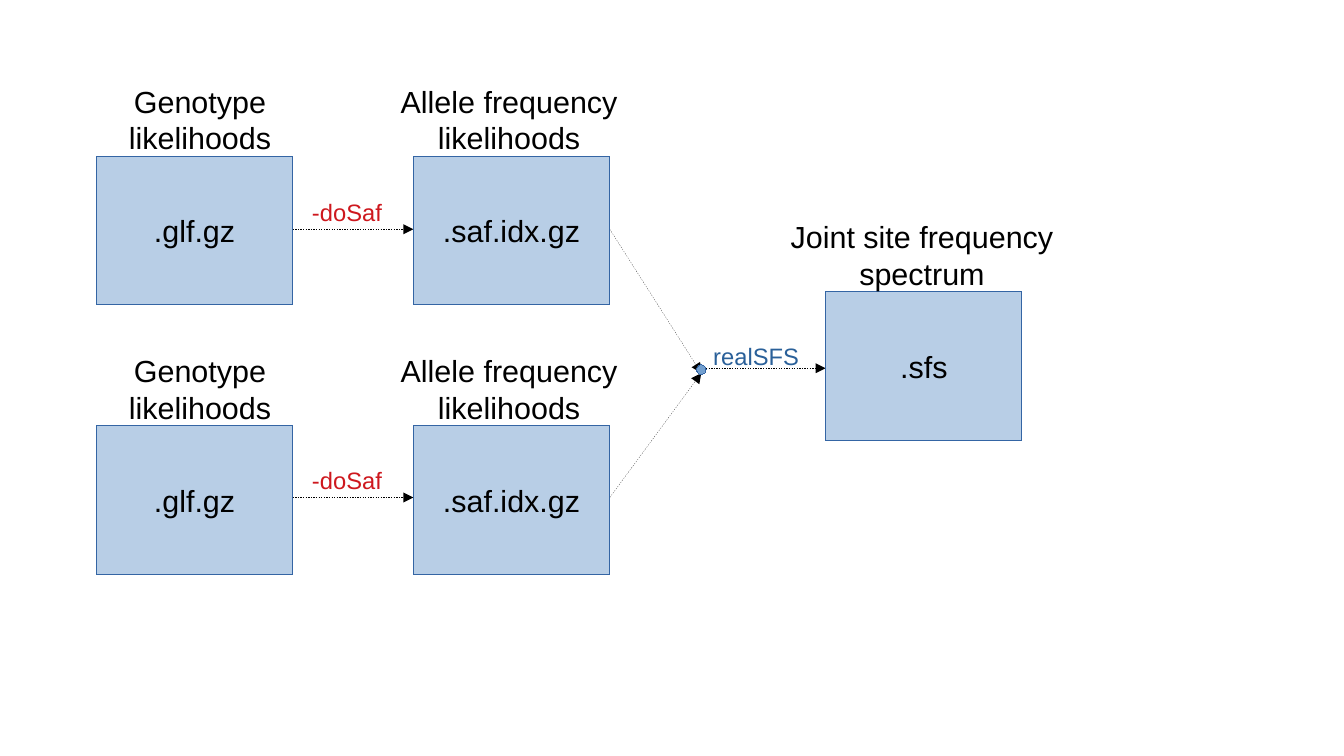
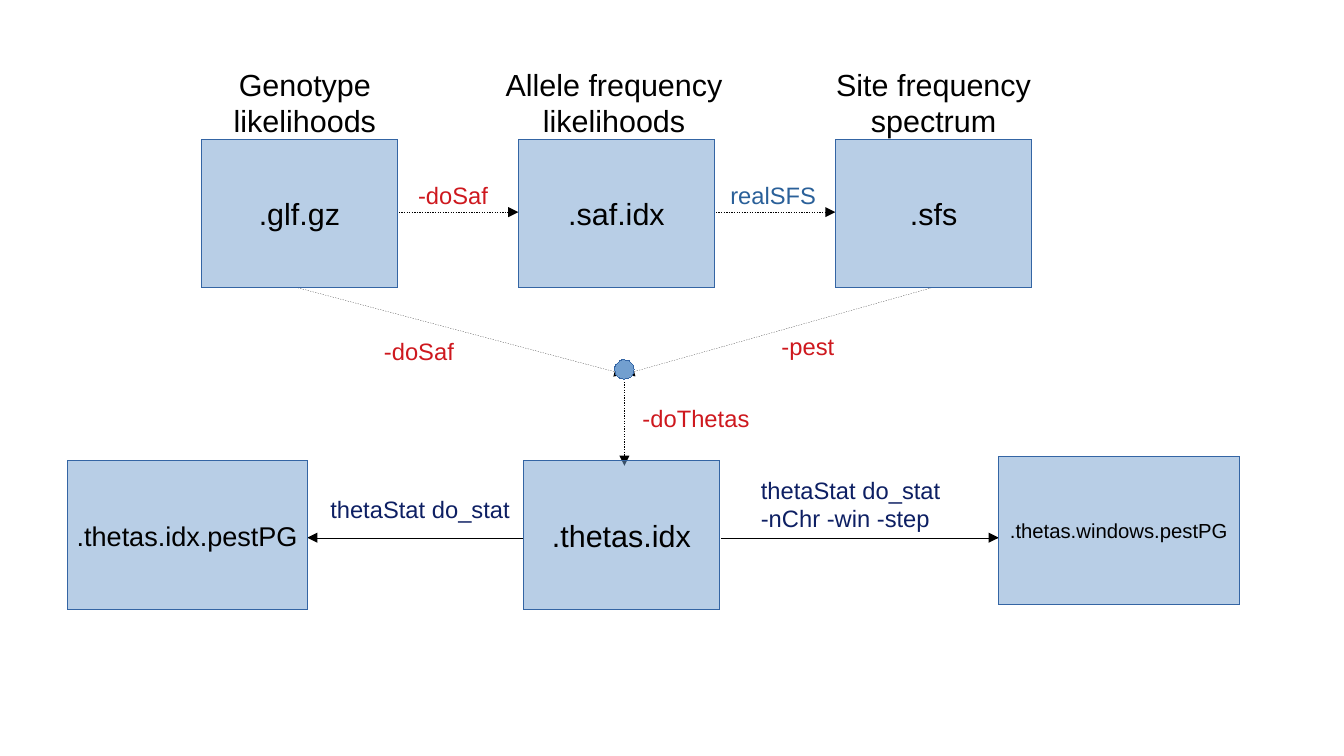
from dataclasses import dataclass

from lxml.etree import SubElement
from pptx import Presentation
from pptx.dml.color import RGBColor
from pptx.enum.dml import MSO_LINE
from pptx.enum.shapes import MSO_CONNECTOR, MSO_SHAPE
from pptx.enum.text import MSO_ANCHOR, PP_ALIGN
from pptx.oxml.ns import qn
from pptx.util import Inches, Pt


@dataclass(frozen=True)
class Theme:
    font: str = "Arial"
    ink: str = "000000"
    fill: str = "729FCF"
    outline: str = "3465A4"
    option: str = "CE181E"
    program: str = "2A6099"
    statistic: str = "0D1F63"
    body: int = 18
    wide: int = 16
    small: int = 12
    label: int = 14
    hairline: str = "0"


THEME = Theme()


def write(frame, text, size=THEME.body, color=THEME.ink, align=PP_ALIGN.CENTER,
          anchor=MSO_ANCHOR.TOP, wrap=False):
    frame.word_wrap = wrap
    frame.vertical_anchor = anchor
    for index, line in enumerate(text.split("\n")):
        paragraph = frame.paragraphs[0] if index == 0 else frame.add_paragraph()
        paragraph.alignment = align
        run = paragraph.add_run()
        run.text = line
        run.font.name = THEME.font
        run.font.size = Pt(size)
        run.font.color.rgb = RGBColor.from_string(color)


def add_node(slide, preset, left, top, width, height, opacity=100):
    node = slide.shapes.add_shape(
        preset, Inches(left), Inches(top), Inches(width), Inches(height))
    node.shadow.inherit = False
    node.fill.solid()
    node.fill.fore_color.rgb = RGBColor.from_string(THEME.fill)
    color = node.element.spPr.find(qn("a:solidFill"))[0]
    SubElement(color, qn("a:alpha"), val=str(opacity * 1000))
    node.line.color.rgb = RGBColor.from_string(THEME.outline)
    node.element.spPr.find(qn("a:ln")).set("w", THEME.hairline)
    return node


BOX_WIDTH, WIDE_BOX, BOX_HEIGHT = 1.61, 1.97, 1.22
CAPTION_RISE, CAPTION_HEIGHT = 0.65, 0.7
COLUMN_STEP = 2.6

CAPTION_PLACES = {
    "Genotype likelihoods": (0.16, 1.38),
    "Allele frequency likelihoods": (-0.28, 2.13),
    "Joint site frequency spectrum": (-0.43, 2.44),
    "Site frequency spectrum": (-0.16, 1.93),
}

joint = {
    "boxes": [(6.77, 2.39, BOX_WIDTH, ".sfs", THEME.body,
               "Joint site frequency spectrum")],
    "arrows": [(5.79, 3.02, 6.77, 3.02, True)],
    "labels": [(5.75, 2.75, 1, "realSFS", THEME.program)],
    "junction": (5.75, 3.03, 0.08),
}
for row_top, arrow_y in ((1.28, 1.88), (3.49, 4.08)):
    joint["boxes"] += [
        (0.79, row_top, BOX_WIDTH, ".glf.gz", THEME.body, "Genotype likelihoods"),
        (0.79 + COLUMN_STEP, row_top, BOX_WIDTH, ".saf.idx.gz", THEME.body,
         "Allele frequency likelihoods"),
    ]
    joint["arrows"] += [
        (2.4, arrow_y, 3.39, arrow_y, True),
        (5, arrow_y, 5.75, 3.06, True),
    ]
    joint["labels"].append((2.46, arrow_y - 0.31, 0.9, "-doSaf", THEME.option))

thetas = {
    "boxes": [
        (4.29, 3.78, BOX_WIDTH, ".thetas.idx", THEME.body, None),
        (0.55, 3.78, WIDE_BOX, ".thetas.idx.pestPG", THEME.wide, None),
        (8.19, 3.74, WIDE_BOX, ".thetas.windows.pestPG", THEME.small, None),
    ],
    "arrows": [
        (3.27, 1.74, 4.25, 1.74, True),
        (5.87, 1.74, 6.85, 1.74, True),
        (2.44, 2.36, 5.12, 3.07, True),
        (7.64, 2.36, 5.12, 3.07, True),
        (5.12, 3.11, 5.12, 3.82, True),
        (4.29, 4.41, 2.52, 4.41, False),
        (5.91, 4.41, 8.19, 4.41, False),
    ],
    "labels": [
        (3.33, 1.43, 0.9, "-doSaf", THEME.option),
        (5.89, 1.43, 1, "realSFS", THEME.program),
        (3.05, 2.71, 0.9, "-doSaf", THEME.option),
        (6.31, 2.67, 0.9, "-pest", THEME.option),
        (5.17, 3.26, 1.2, "-doThetas", THEME.option),
        (2.61, 4.01, 1.8, "thetaStat do_stat", THEME.statistic),
        (6.14, 3.85, 1.8, "thetaStat do_stat\n-nChr -win -step", THEME.statistic),
    ],
    "junction": (5.12, 3.03, 0.16),
}
for column, (file_type, caption) in enumerate((
        (".glf.gz", "Genotype likelihoods"),
        (".saf.idx", "Allele frequency likelihoods"),
        (".sfs", "Site frequency spectrum"))):
    thetas["boxes"].append((1.65 + column * COLUMN_STEP, 1.14, BOX_WIDTH,
                            file_type, THEME.body, caption))

deck = Presentation()
deck.slide_width = Inches(11.02)
deck.slide_height = Inches(6.2)

for workflow in (joint, thetas):
    slide = deck.slides.add_slide(deck.slide_layouts[6])

    for start_x, start_y, end_x, end_y, dashed in workflow["arrows"]:
        arrow = slide.shapes.add_connector(
            MSO_CONNECTOR.STRAIGHT, Inches(start_x), Inches(start_y),
            Inches(end_x), Inches(end_y))
        arrow.line.color.rgb = RGBColor.from_string(THEME.ink)
        if dashed:
            arrow.line.dash_style = MSO_LINE.ROUND_DOT
        properties = arrow.element.spPr
        stroke = properties.find(qn("a:ln"))
        stroke.set("w", THEME.hairline)
        SubElement(stroke, qn("a:tailEnd"), type="triangle")
        SubElement(properties, qn("a:effectLst"))

    center_x, center_y, diameter = workflow["junction"]
    add_node(slide, MSO_SHAPE.OVAL, center_x - diameter / 2,
             center_y - diameter / 2, diameter, diameter)

    for left, top, width, file_type, size, caption in workflow["boxes"]:
        box = add_node(slide, MSO_SHAPE.RECTANGLE, left, top, width, BOX_HEIGHT,
                       opacity=50)
        write(box.text_frame, file_type, size=size, anchor=MSO_ANCHOR.MIDDLE)
        if caption:
            shift, caption_width = CAPTION_PLACES[caption]
            heading = slide.shapes.add_textbox(
                Inches(left + shift), Inches(top - CAPTION_RISE),
                Inches(caption_width), Inches(CAPTION_HEIGHT))
            write(heading.text_frame, caption, wrap=True)

    for left, top, width, command, color in workflow["labels"]:
        height = 0.1 + 0.22 * len(command.split("\n"))
        label = slide.shapes.add_textbox(
            Inches(left), Inches(top), Inches(width), Inches(height))
        write(label.text_frame, command, size=THEME.label, color=color,
              align=PP_ALIGN.LEFT, wrap=True)

deck.save("out.pptx")
